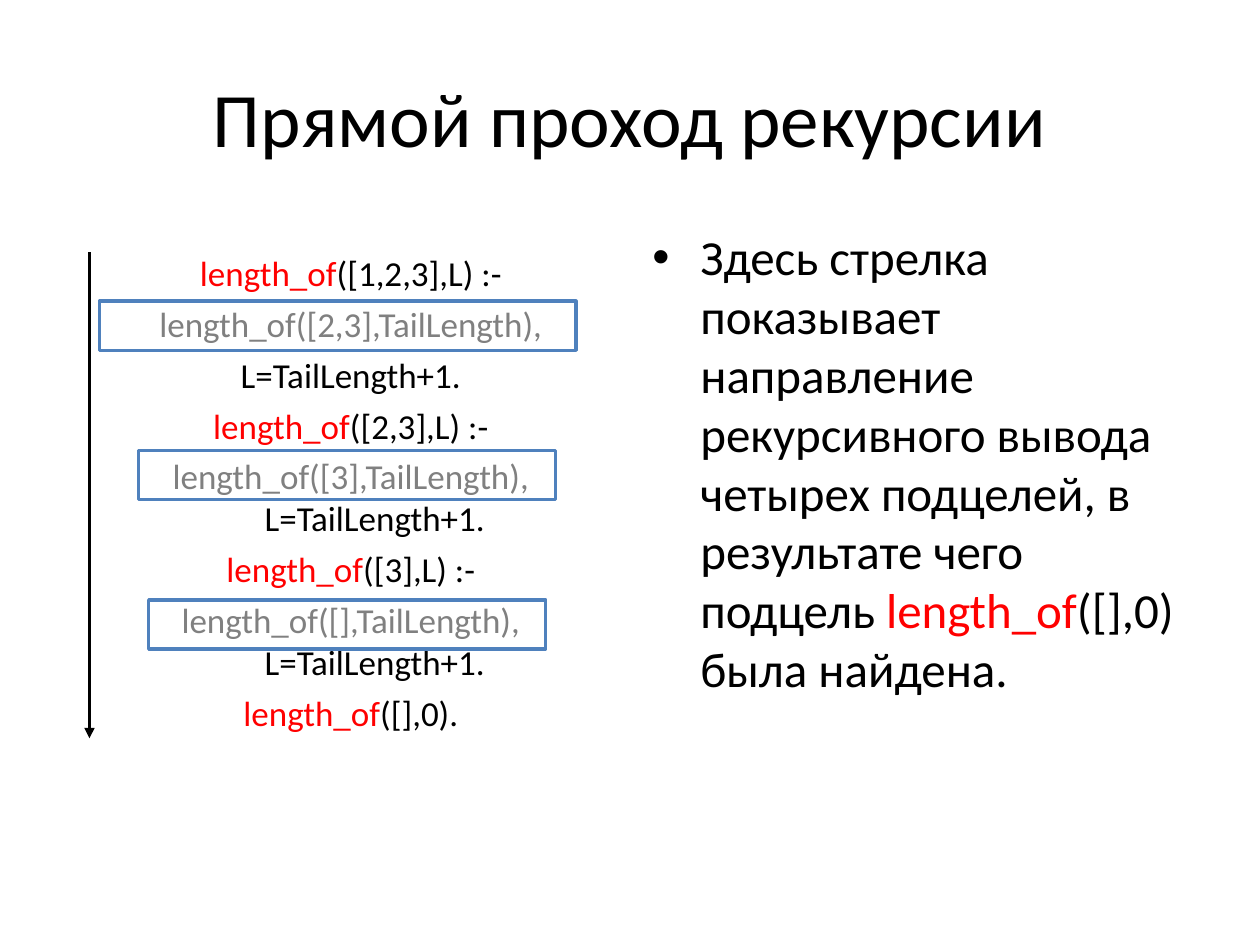
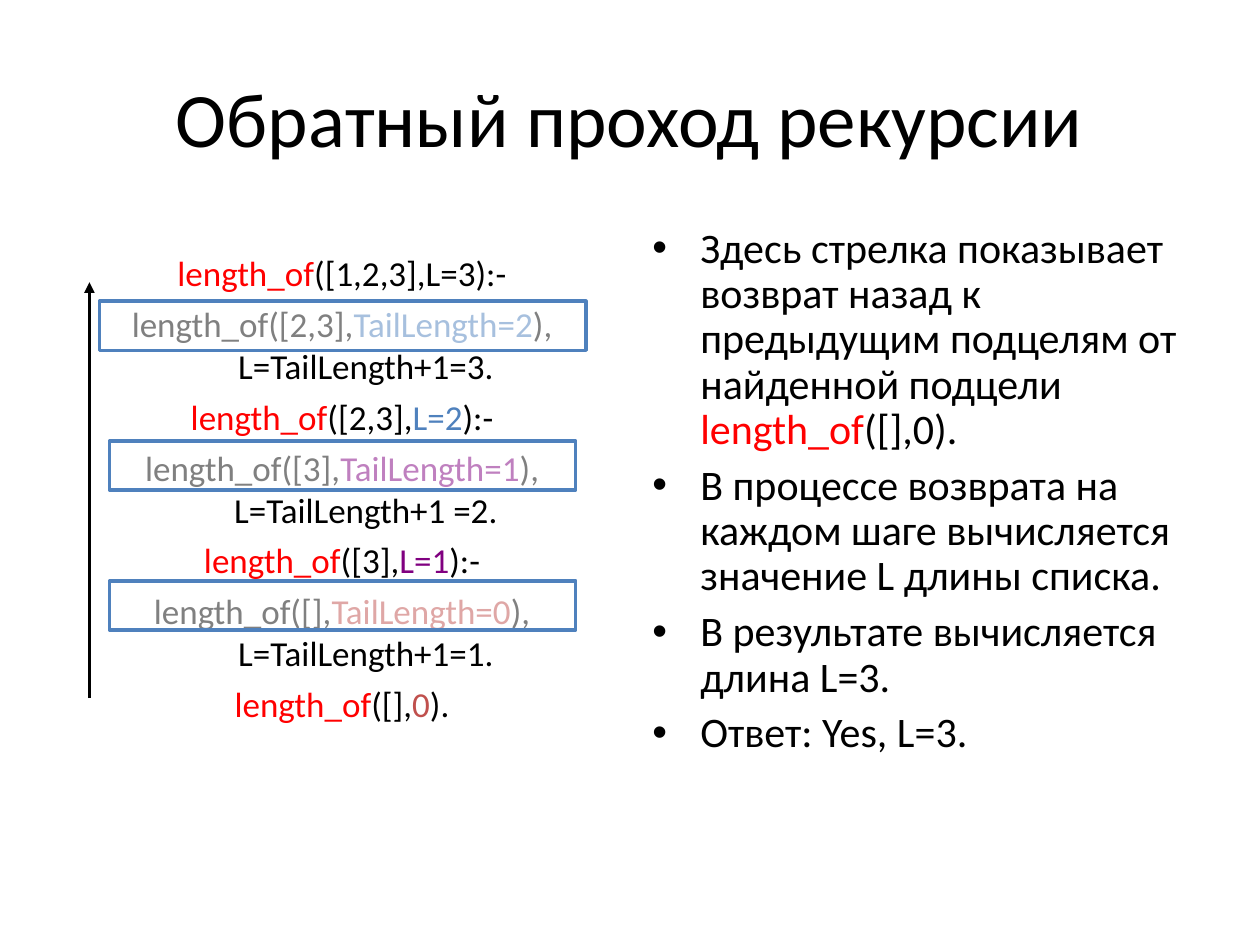
import pptx
import pptx.dml.color
import pptx.enum.shapes
import pptx.enum.text
import pptx.oxml.ns
import pptx.oxml.xmlchemy
import pptx.util
from lxml import etree
from pptx.util import Inches

BLACK, RED, BLUE = "000000", "FF0000", "4F81BD"
PURPLE, BRICK, WHITE = "800080", "C0504D", "FFFFFF"
ALIGN = pptx.enum.text.PP_ALIGN
qn = pptx.oxml.ns.qn

PREDICATE = ("length_of", RED)
ARROW_X = 0.71
GOAL_HEIGHT = 0.39


def rgb(hex_code):
    return pptx.dml.color.RGBColor.from_string(hex_code)


class Deck:
    """Holds the shared style and the slide being filled."""

    font = "Calibri"
    hanging = Inches(0.38)

    def __init__(self):
        self.presentation = pptx.Presentation()
        self.presentation.slide_width = Inches(10)
        self.presentation.slide_height = Inches(7.5)
        self.slide = None

    def new_slide(self, title):
        self.slide = self.presentation.slides.add_slide(self.presentation.slide_layouts[6])
        self.text((0.5, 0.3, 9, 1.25), [[title]], 44, align=ALIGN.CENTER,
                  anchor=pptx.enum.text.MSO_ANCHOR.MIDDLE)

    def text(self, place, paragraphs, size, align=ALIGN.LEFT, anchor=pptx.enum.text.MSO_ANCHOR.TOP,
             space_before=0, line_spacing=None, hanging=False, bullet=False):
        """Each paragraph is a list of runs: plain strings (black) or (string, colour) pairs."""
        frame = self.slide.shapes.add_textbox(*map(Inches, place)).text_frame
        frame.word_wrap = True
        frame.vertical_anchor = anchor
        for number, runs in enumerate(paragraphs):
            paragraph = frame.add_paragraph() if number else frame.paragraphs[0]
            paragraph.alignment = align
            paragraph.space_before = pptx.util.Pt(space_before)
            if line_spacing:
                paragraph.line_spacing = line_spacing
            if hanging:
                self.hang(paragraph, bullet)
            for part in runs:
                words, colour = (part, BLACK) if isinstance(part, str) else part
                run = paragraph.add_run()
                run.text = words
                run.font.name = self.font
                run.font.size = pptx.util.Pt(size)
                run.font.color.rgb = rgb(colour)

    def hang(self, paragraph, bullet):
        properties = paragraph._p.get_or_add_pPr()
        properties.set("marL", str(self.hanging))
        properties.set("indent", str(-self.hanging))
        if bullet:
            etree.SubElement(properties, qn("a:buFont")).set("typeface", "Arial")
            etree.SubElement(properties, qn("a:buChar")).set("char", "•")

    def clauses(self, left, paragraphs):
        self.text((left, 1.95, 4.17, 4.5), paragraphs, 20, align=ALIGN.CENTER,
                  space_before=5, hanging=True)

    def explanation(self, paragraphs, size, space_before, line_spacing=None):
        self.text((5.08, 1.75, 4.42, 4.95), paragraphs, size, space_before=space_before,
                  line_spacing=line_spacing, hanging=True, bullet=True)

    def arrow(self, start, end):
        """Vertical arrow along the clauses, pointing at end."""
        line = self.slide.shapes.add_connector(
            pptx.enum.shapes.MSO_CONNECTOR.STRAIGHT,
            Inches(ARROW_X), Inches(start), Inches(ARROW_X), Inches(end))
        line.line.color.rgb = rgb(BLACK)
        line.line.width = pptx.util.Pt(2)
        etree.SubElement(line.line._get_or_add_ln(), qn("a:tailEnd")).set("type", "triangle")
        etree.SubElement(line._element.spPr, qn("a:effectLst"))

    def subgoal_frame(self, left, top, width):
        """Half-transparent veil with a blue outline over a subgoal."""
        frame = self.slide.shapes.add_shape(
            pptx.enum.shapes.MSO_SHAPE.RECTANGLE,
            Inches(left), Inches(top), Inches(width), Inches(GOAL_HEIGHT))
        frame.shadow.inherit = False
        frame.fill.solid()
        frame.fill.fore_color.rgb = rgb(WHITE)
        veil = frame._element.spPr.find(qn("a:solidFill")).find(qn("a:srgbClr"))
        etree.SubElement(veil, qn("a:alpha")).set("val", "50000")
        frame.line.color.rgb = rgb(BLUE)
        frame.line.width = pptx.util.Pt(2)

    def subgoal_frames(self, top, step, spans):
        """Evenly stepped frames, one for each (left, width)."""
        for level, (left, width) in enumerate(spans):
            self.subgoal_frame(left, top + level * step, width)


def forward_pass(deck):
    deck.new_slide("Прямой проход рекурсии")
    deck.explanation([
        ["Здесь стрелка показывает направление рекурсивного вывода четырех подцелей, "
         "в результате чего подцель ", PREDICATE, "([],0) была найдена."],
    ], 28, space_before=7)
    deck.clauses(0.7, [
        [PREDICATE, "([1,2,3],L) :-"],
        ["length_of([2,3],TailLength),"],
        ["L=TailLength+1."],
        [PREDICATE, "([2,3],L) :-"],
        ["length_of([3],TailLength), L=TailLength+1."],
        [PREDICATE, "([3],L) :-"],
        ["length_of([],TailLength), L=TailLength+1."],
        [PREDICATE, "([],0)."],
    ])
    deck.arrow(2, 5.86)
    deck.subgoal_frames(2.39, 1.185, [(0.79, 3.78), (1.1, 3.31), (1.18, 3.15)])


def backward_pass(deck):
    deck.new_slide("Обратный проход рекурсии")
    deck.explanation([
        ["Здесь стрелка показывает возврат назад к предыдущим подцелям "
         "от найденной подцели ", PREDICATE, "([],0)."],
        ["В процессе возврата на каждом шаге вычисляется значение L длины списка."],
        ["В результате вычисляется длина L=3."],
        ["Ответ: Yes, L=3."],
    ], 24, space_before=6, line_spacing=0.9)
    deck.clauses(0.63, [
        [PREDICATE, "([1,2,3],L=3):-"],
        ["length_of([2,3],", ("TailLength=2", BLUE), "), L=TailLength+1=3."],
        [PREDICATE, "([2,3],", ("L=2", BLUE), "):-"],
        ["length_of([3],", ("TailLength=1", PURPLE), "), L=TailLength+1 =2."],
        [PREDICATE, "([3],", ("L=1", PURPLE), "):-"],
        ["length_of([],", ("TailLength=0", BRICK), "), L=TailLength+1=1."],
        [PREDICATE, "([],", ("0", BRICK), ")."],
    ])
    deck.arrow(5.54, 2.24)
    deck.subgoal_frames(2.39, 1.11, [(0.79, 3.86), (0.87, 3.7), (0.87, 3.7)])


def main():
    deck = Deck()
    forward_pass(deck)
    backward_pass(deck)
    deck.presentation.save("out.pptx")


if __name__ == "__main__":
    main()
